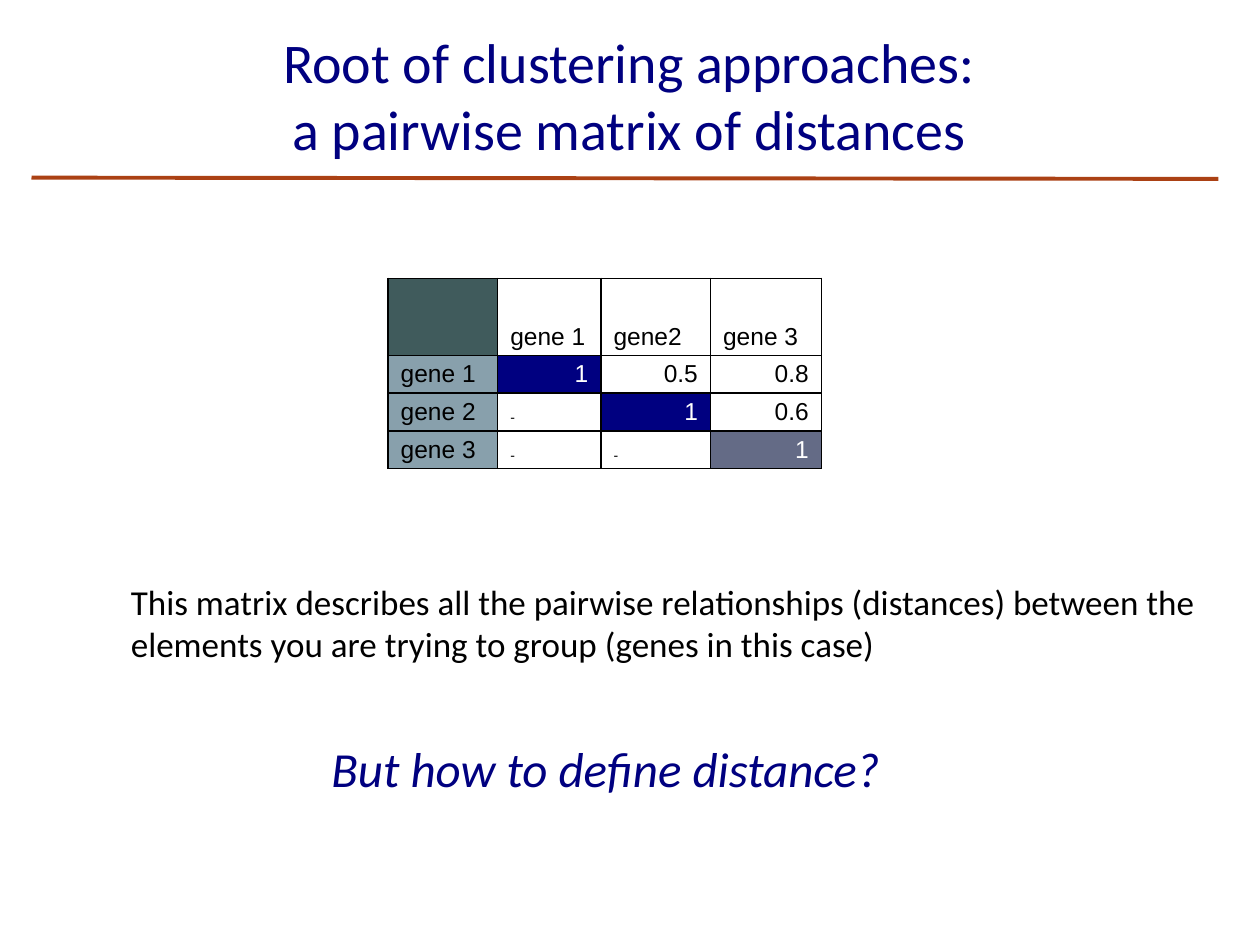
from dataclasses import dataclass
from typing import Optional

from lxml.etree import SubElement
from pptx import Presentation
from pptx.dml.color import RGBColor
from pptx.enum.shapes import MSO_CONNECTOR as Connector
from pptx.enum.text import MSO_ANCHOR as Anchor, PP_ALIGN as Align
from pptx.oxml.ns import qn
from pptx.util import Inches, Pt

NAVY = RGBColor(0x00, 0x00, 0x80)
BLACK = RGBColor(0x00, 0x00, 0x00)
WHITE = RGBColor(0xFF, 0xFF, 0xFF)
RUST = RGBColor(0xAB, 0x41, 0x14)
DARK_TEAL = RGBColor(0x40, 0x5B, 0x5C)
BLUE_GREY = RGBColor(0x88, 0xA0, 0xAC)
SLATE = RGBColor(0x64, 0x6B, 0x86)


@dataclass
class Entry:
    text: str
    fill: Optional[RGBColor] = None
    color: RGBColor = BLACK
    size: int = 14
    align: Align = Align.LEFT


def header(text: str) -> Entry:
    return Entry(text, WHITE)


def gene(text: str) -> Entry:
    return Entry(text, BLUE_GREY)


def distance(text: str) -> Entry:
    return Entry(text, align=Align.RIGHT)


def diagonal(fill: RGBColor) -> Entry:
    return Entry("1", fill, WHITE, align=Align.RIGHT)


MIRRORED = Entry("-", size=8)
MATRIX = [
    [Entry("", DARK_TEAL), header("gene 1"), header("gene2"), header("gene 3")],
    [gene("gene 1"), diagonal(NAVY), distance("0.5"), distance("0.8")],
    [gene("gene 2"), MIRRORED, diagonal(NAVY), distance("0.6")],
    [gene("gene 3"), MIRRORED, MIRRORED, diagonal(SLATE)],
]
COLUMN_WIDTHS = [0.87, 0.82, 0.87, 0.88]
ROW_HEIGHTS = [0.61, 0.3, 0.3, 0.3]


def format_text(frame, size: int, color: RGBColor, align: Align,
                font: str = "Calibri", italic: bool = False) -> None:
    for paragraph in frame.paragraphs:
        paragraph.alignment = align
        for run in paragraph.runs:
            run.font.name = font
            run.font.size = Pt(size)
            run.font.color.rgb = color
            run.font.italic = italic


def add_text(slide, text: str, left: float, top: float, width: float, height: float,
             size: int, color: RGBColor, align: Align, italic: bool = False) -> None:
    box = slide.shapes.add_textbox(Inches(left), Inches(top), Inches(width), Inches(height))
    box.text_frame.word_wrap = True
    box.text_frame.text = text
    format_text(box.text_frame, size, color, align, italic=italic)


def add_borders(cell) -> None:
    properties = cell._tc.get_or_add_tcPr()
    for side in ("a:lnL", "a:lnR", "a:lnT", "a:lnB"):
        border = SubElement(properties, qn(side), w=str(Pt(1)))
        solid = SubElement(border, qn("a:solidFill"))
        SubElement(solid, qn("a:srgbClr"), val=str(BLACK))


def fill_cell(cell, entry: Entry) -> None:
    add_borders(cell)
    if entry.fill is None:
        cell.fill.background()
    else:
        cell.fill.solid()
        cell.fill.fore_color.rgb = entry.fill
    cell.vertical_anchor = Anchor.BOTTOM
    cell.margin_left = cell.margin_right = Inches(0.1)
    cell.margin_top = cell.margin_bottom = Inches(0.04)
    cell.text_frame.text = entry.text
    format_text(cell.text_frame, entry.size, entry.color, entry.align, "Arial")


def add_matrix(slide, left: float, top: float) -> None:
    table = slide.shapes.add_table(
        len(MATRIX), len(MATRIX[0]), Inches(left), Inches(top),
        Inches(sum(COLUMN_WIDTHS)), Inches(sum(ROW_HEIGHTS))).table
    table.first_row = table.horz_banding = False
    for column, width in zip(table.columns, COLUMN_WIDTHS):
        column.width = Inches(width)
    for row, height, entries in zip(table.rows, ROW_HEIGHTS, MATRIX):
        row.height = Inches(height)
        for cell, entry in zip(row.cells, entries):
            fill_cell(cell, entry)


def main() -> None:
    deck = Presentation()
    deck.slide_width, deck.slide_height = Inches(10), Inches(7.5)
    slide = deck.slides.add_slide(deck.slide_layouts[5])

    # Title and the rule below it
    title = slide.shapes.title
    title.left, title.top = Inches(0.24), Inches(0.17)
    title.width, title.height = Inches(9.51), Inches(1.08)
    title.text_frame.text = "Root of clustering approaches:\na pairwise matrix of distances"
    title.text_frame.vertical_anchor = Anchor.TOP
    format_text(title.text_frame, 32, NAVY, Align.CENTER)

    rule = slide.shapes.add_connector(
        Connector.STRAIGHT, Inches(0.25), Inches(1.41), Inches(9.67), Inches(1.42))
    rule.line.color.rgb = RUST
    rule.line.width = Pt(2.25)
    SubElement(rule._element.spPr, qn("a:effectLst"))

    # Distance matrix
    add_matrix(slide, 3.08, 2.21)

    # Explanation and closing question
    add_text(slide, "This matrix describes all the pairwise relationships (distances) between "
             "the elements you are trying to group (genes in this case)",
             0.94, 4.56, 8.81, 0.85, 20, BLACK, Align.LEFT)
    add_text(slide, "But how to define distance?",
             0.93, 5.81, 7.75, 0.59, 28, NAVY, Align.CENTER, italic=True)

    deck.save("out.pptx")


if __name__ == "__main__":
    main()
